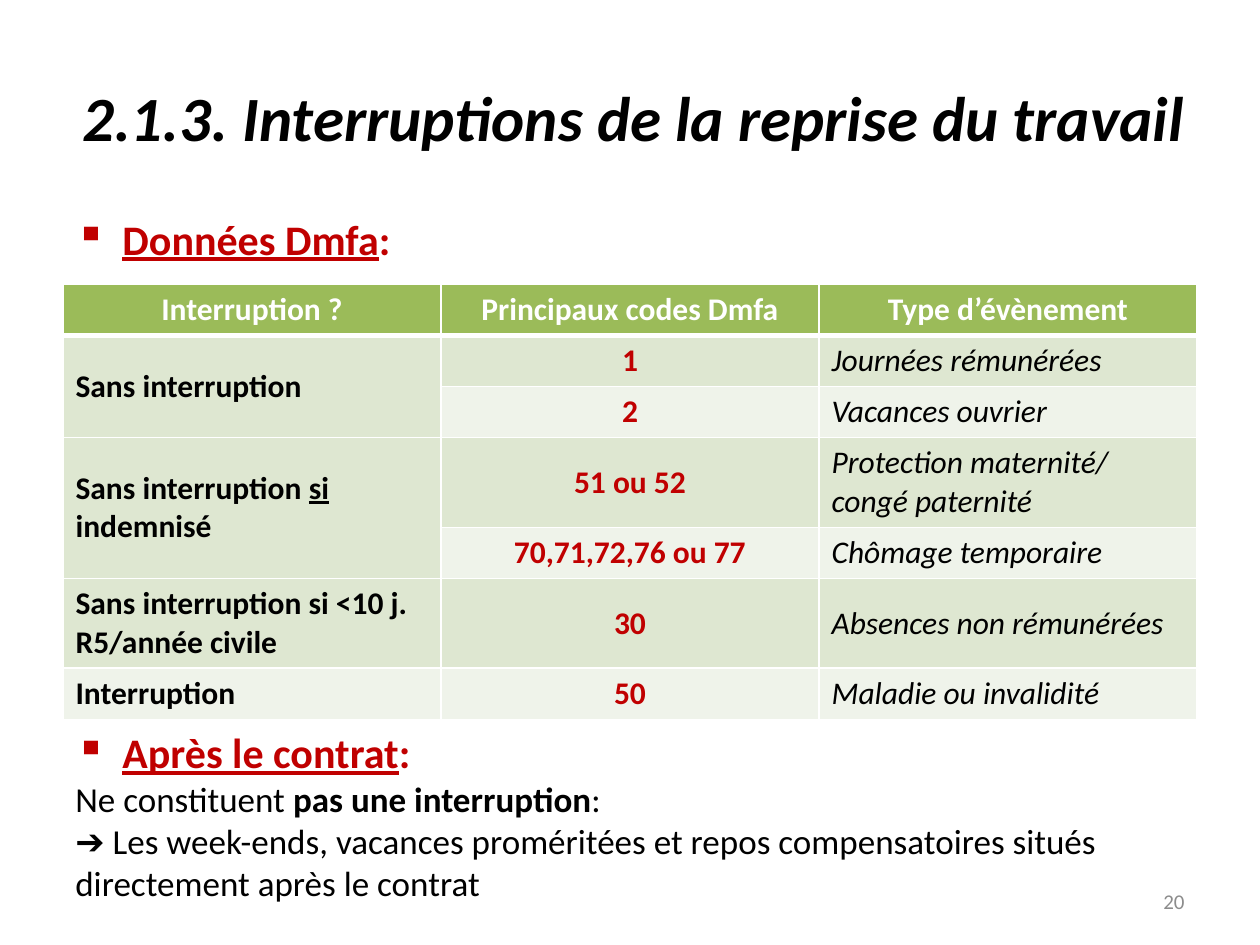
from lxml.etree import SubElement
from pptx import Presentation
from pptx.dml.color import RGBColor
from pptx.enum.text import MSO_ANCHOR, PP_ALIGN
from pptx.oxml.ns import qn
from pptx.util import Cm, Pt

BLACK = RGBColor(0x00, 0x00, 0x00)
WHITE = RGBColor(0xFF, 0xFF, 0xFF)
RED = RGBColor(0xC0, 0x00, 0x00)
GREY = RGBColor(0x8C, 0x8C, 0x8C)
HEADER_GREEN = RGBColor(0x9B, 0xBB, 0x59)
BAND_GREENS = [RGBColor(0xEF, 0xF3, 0xEA), RGBColor(0xDE, 0xE7, 0xD1)]
MARGIN = Cm(1.27)
CONTENT_WIDTH = Cm(22.86)


def write(paragraph, runs, size, color, bold=False, italic=False, bullet=False):
    """Add (text, marks) runs; in marks, "b" means bold and "u" underlined."""
    if bullet:
        properties = paragraph._p.get_or_add_pPr()
        properties.set("marL", str(Cm(0.95)))
        properties.set("indent", str(-Cm(0.95)))
        SubElement(properties, qn("a:buChar"), char="▪")
    for text, marks in runs:
        run = paragraph.add_run()
        run.text = text
        font = run.font
        font.name, font.size, font.italic = "Calibri", Pt(size), italic
        font.bold = bold or "b" in marks
        font.underline = "u" in marks
        font.color.rgb = color


def add_text_frame(left, top, width, height, anchor=MSO_ANCHOR.TOP):
    frame = slide.shapes.add_textbox(left, top, width, height).text_frame
    frame.word_wrap = True
    frame.vertical_anchor = anchor
    return frame


prs = Presentation()
prs.slide_width, prs.slide_height = Cm(25.4), Cm(19.05)
slide = prs.slides.add_slide(prs.slide_layouts[6])

# Title
title = add_text_frame(MARGIN, Cm(0.76), CONTENT_WIDTH, Cm(3.18), MSO_ANCHOR.MIDDLE)
title.paragraphs[0].alignment = PP_ALIGN.RIGHT
write(title.paragraphs[0], [("2.1.3. Interruptions de la reprise du travail", "")],
      36, BLACK, bold=True, italic=True)

# Table of interruption codes; an empty first cell continues the one above
ROWS = [
    ([("Interruption ?", "")], "Principaux codes Dmfa", "Type d’évènement"),
    ([("Sans interruption", "")], "1", "Journées rémunérées"),
    ([], "2", "Vacances ouvrier"),
    ([("Sans interruption ", ""), ("si ", "u"), ("indemnisé", "")],
     "51 ou 52", "Protection maternité/ congé paternité"),
    ([], "70,71,72,76 ou 77", "Chômage temporaire"),
    ([("Sans interruption si <10 j. R5/année civile", "")],
     "30", "Absences non rémunérées"),
    ([("Interruption", "")], "50", "Maladie ou invalidité"),
]
TWO_LINE_ROWS = (3, 5)
codes = slide.shapes.add_table(len(ROWS), 3, MARGIN, Cm(5.73),
                               CONTENT_WIDTH, Cm(8.77)).table
for r, (interruption, code, event) in enumerate(ROWS):
    codes.rows[r].height = Cm(1.81 if r in TWO_LINE_ROWS else 1.03)
    header = r == 0
    for c, runs in enumerate((interruption, [(code, "")], [(event, "")])):
        cell = codes.cell(r, c)
        for side in "LRTB":
            thick = (r, side) in ((0, "B"), (1, "T"))
            border = SubElement(cell._tc.get_or_add_tcPr(), qn(f"a:ln{side}"),
                                w=str(Pt(3 if thick else 1)))
            border_fill = SubElement(border, qn("a:solidFill"))
            SubElement(border_fill, qn("a:srgbClr"), val=str(WHITE))
        cell.fill.solid()
        cell.fill.fore_color.rgb = HEADER_GREEN if header else BAND_GREENS[r % 2]
        cell.vertical_anchor = MSO_ANCHOR.TOP if header else MSO_ANCHOR.MIDDLE
        paragraph = cell.text_frame.paragraphs[0]
        if header or c == 1:
            paragraph.alignment = PP_ALIGN.CENTER
        color = WHITE if header else RED if c == 1 else BLACK
        is_event = c == 2 and not header
        write(paragraph, runs, 18, color, bold=not is_event, italic=is_event)
    if not interruption:
        codes.cell(r - 1, 0).merge(codes.cell(r, 0))

# Slide number
number = add_text_frame(Cm(18.2), Cm(17.65), Cm(5.93), Cm(1.02), MSO_ANCHOR.MIDDLE)
number.paragraphs[0].alignment = PP_ALIGN.RIGHT
write(number.paragraphs[0], [("20", "")], 12, GREY)

# Section headings and closing rule
data = add_text_frame(MARGIN, Cm(4.17), Cm(11.43), Cm(1.27))
write(data.paragraphs[0], [("Données Dmfa", "u"), (":", "")], 24, RED,
      bold=True, bullet=True)

after = add_text_frame(MARGIN, Cm(14.53), CONTENT_WIDTH, Cm(4.62))
write(after.paragraphs[0], [("Après le contrat", "u"), (":", "")], 24, RED,
      bold=True, bullet=True)
write(after.add_paragraph(),
      [("Ne constituent ", ""), ("pas une interruption", "b"), (":", "")], 20, BLACK)
write(after.add_paragraph(),
      [("➔ Les week-ends, vacances proméritées et repos compensatoires situés "
        "directement après le contrat", "")], 20, BLACK)

prs.save("out.pptx")
